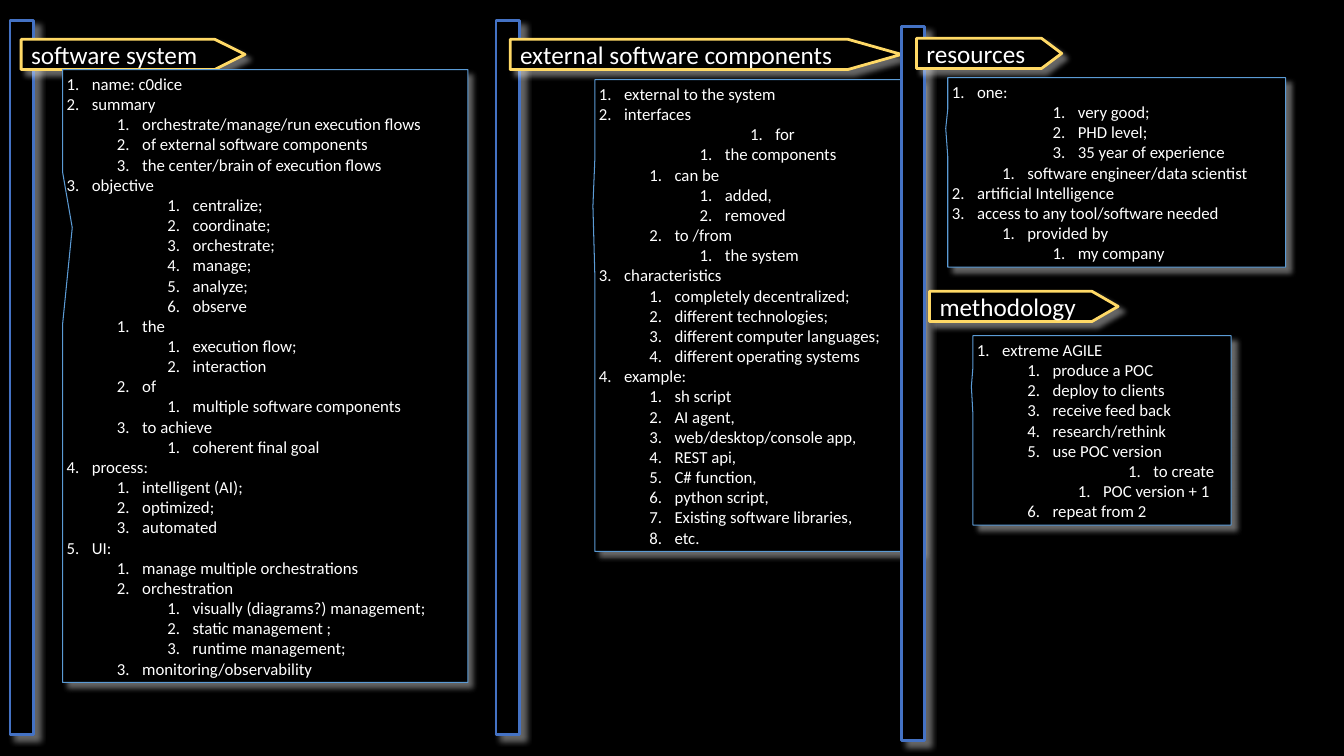
from lxml.etree import SubElement
from pptx import Presentation
from pptx.dml.color import RGBColor
from pptx.enum.shapes import MSO_SHAPE
from pptx.enum.text import MSO_ANCHOR, MSO_AUTO_SIZE, PP_ALIGN
from pptx.oxml.ns import qn
from pptx.util import Inches, Pt

BLACK = RGBColor(0x00, 0x00, 0x00)
WHITE = RGBColor(0xFF, 0xFF, 0xFF)
BAR_BLUE = RGBColor(0x44, 0x72, 0xC4)
BOX_BLUE = RGBColor(0x5B, 0x9B, 0xD5)
GOLD = RGBColor(0xFF, 0xD9, 0x66)

FONT = "Calibri"
BAR_W, BAR_H = 0.23, 7.09
TAG_H = 0.3
LEVEL_STEP, HANGING = 0.5, 0.25

# Each outline line is its level followed by its text
SYSTEM = """0 name: c0dice
0 summary
1 orchestrate/manage/run execution flows
1 of external software components
1 the center/brain of execution flows
0 objective
2 centralize;
2 coordinate;
2 orchestrate;
2 manage;
2 analyze;
2 observe
1 the
2 execution flow;
2 interaction
1 of
2 multiple software components
1 to achieve
2 coherent final goal
0 process:
1 intelligent (AI);
1 optimized;
1 automated
0 UI:
1 manage multiple orchestrations
1 orchestration
2 visually (diagrams?) management;
2 static management ;
2 runtime management;
1 monitoring/observability"""

COMPONENTS = """0 external to the system
0 interfaces
3 for
2 the components
1 can be
2 added,
2 removed
1 to /from
2 the system
0 characteristics
1 completely decentralized;
1 different technologies;
1 different computer languages;
1 different operating systems
0 example:
1 sh script
1 AI agent,
1 web/desktop/console app,
1 REST api,
1 C# function,
1 python script,
1 Existing software libraries,
1 etc."""

RESOURCES = """0 one:
2 very good;
2 PHD level;
2 35 year of experience
1 software engineer/data scientist
0 artificial Intelligence
0 access to any tool/software needed
1 provided by
2 my company"""

METHODOLOGY = """0 extreme AGILE
1 produce a POC
1 deploy to clients
1 receive feed back
1 research/rethink
1 use POC version
3 to create
2 POC version + 1
1 repeat from 2"""


def style(sp, color, width):
    """Black fill, coloured outline and a soft white shadow."""
    sp.fill.solid()
    sp.fill.fore_color.rgb = BLACK
    sp.line.color.rgb = color
    sp.line.width = Pt(width)
    sp.shadow.inherit = False
    effects = sp._element.spPr.find(qn("a:effectLst"))
    shadow = SubElement(effects, qn("a:outerShdw"), blurRad=str(Pt(4)), dist=str(Pt(5)),
                        dir=str(45 * 60000), algn="tl", rotWithShape="0")
    clr = SubElement(shadow, qn("a:srgbClr"), val=str(WHITE))
    SubElement(clr, qn("a:alpha"), val="40000")


def set_frame(tf, anchor, left, top, right, bottom):
    tf.word_wrap = False
    tf.auto_size = MSO_AUTO_SIZE.SHAPE_TO_FIT_TEXT
    tf.vertical_anchor = anchor
    tf.margin_left, tf.margin_top = Inches(left), Inches(top)
    tf.margin_right, tf.margin_bottom = Inches(right), Inches(bottom)


def format_text(p, size):
    p.alignment = PP_ALIGN.LEFT
    for r in p.runs:
        r.font.name = FONT
        r.font.size = Pt(size)
        r.font.color.rgb = WHITE


def number(p, level):
    """Automatic numbering with a hanging indent."""
    p.level = level
    pPr = p._p.get_or_add_pPr()
    pPr.set("marL", str(Inches(HANGING + level * LEVEL_STEP)))
    pPr.set("indent", str(-Inches(HANGING)))
    clr = SubElement(pPr, qn("a:buClr"))
    SubElement(clr, qn("a:srgbClr"), val=str(WHITE))
    SubElement(pPr, qn("a:buFont"), typeface="+mj-lt")
    SubElement(pPr, qn("a:buAutoNum"), type="arabicPeriod")


def add_bar(s, left, top):
    sp = s.shapes.add_shape(MSO_SHAPE.RECTANGLE, Inches(left), Inches(top),
                            Inches(BAR_W), Inches(BAR_H))
    style(sp, BAR_BLUE, 2)


def add_tag(s, text, left, top, width, tip):
    """Heading in a pentagon that points right."""
    right, bottom = left + width, top + TAG_H
    outline = [(right - tip, top), (right, top + TAG_H / 2), (right - tip, bottom), (left, bottom)]
    builder = s.shapes.build_freeform(Inches(left), Inches(top))
    builder.add_line_segments([(Inches(x), Inches(y)) for x, y in outline], close=True)
    sp = builder.convert_to_shape()
    style(sp, GOLD, 2)
    tf = sp.text_frame
    set_frame(tf, MSO_ANCHOR.MIDDLE, 0.1, 0, 0.2, 0)
    tf.text = text
    format_text(tf.paragraphs[0], 18)


def add_outline(s, outline, left, top, width, height, tail=(-0.506, -0.232)):
    """Numbered outline in a callout box."""
    sp = s.shapes.add_shape(MSO_SHAPE.RECTANGULAR_CALLOUT, Inches(left), Inches(top),
                            Inches(width), Inches(height))
    sp.adjustments[0], sp.adjustments[1] = tail
    style(sp, BOX_BLUE, 0)
    tf = sp.text_frame
    set_frame(tf, MSO_ANCHOR.TOP, 0.04, 0.04, 0.04, 0.04)
    lines = [line.split(" ", 1) for line in outline.splitlines()]
    tf.text = "\n".join(text for _, text in lines)
    for p, (level, _) in zip(tf.paragraphs, lines):
        number(p, int(level))
        format_text(p, 12)


def system_column(s, left, top):
    add_bar(s, left, top)
    add_tag(s, "software system", left + 0.11, top + 0.19, 2.22, 0.3)
    add_outline(s, SYSTEM, left + 0.52, top + 0.49, 4.02, 6.08, (-0.476, -0.242))


def components_column(s, left, top):
    add_bar(s, left, top)
    add_tag(s, "external software components", left + 0.14, top + 0.19, 3.88, 0.53)
    add_outline(s, COMPONENTS, left + 0.98, top + 0.59, 3.22, 4.68)


def resources_column(s, left, top):
    add_bar(s, left, top)
    add_tag(s, "resources", left + 0.15, top + 0.12, 1.44, 0.2)
    add_outline(s, RESOURCES, left + 0.46, top + 0.51, 3.35, 1.88)
    add_tag(s, "methodology", left + 0.28, top + 2.63, 1.87, 0.26)
    add_outline(s, METHODOLOGY, left + 0.71, top + 3.07, 2.56, 1.88)


def main():
    prs = Presentation()
    prs.slide_width, prs.slide_height = Inches(13.33), Inches(7.5)
    s = prs.slides.add_slide(prs.slide_layouts[6])
    s.background.fill.solid()
    s.background.fill.fore_color.rgb = BLACK
    # The last column overlaps the one before it
    system_column(s, 0.1, 0.2)
    components_column(s, 4.92, 0.2)
    resources_column(s, 8.94, 0.26)
    prs.save("out.pptx")


if __name__ == "__main__":
    main()
